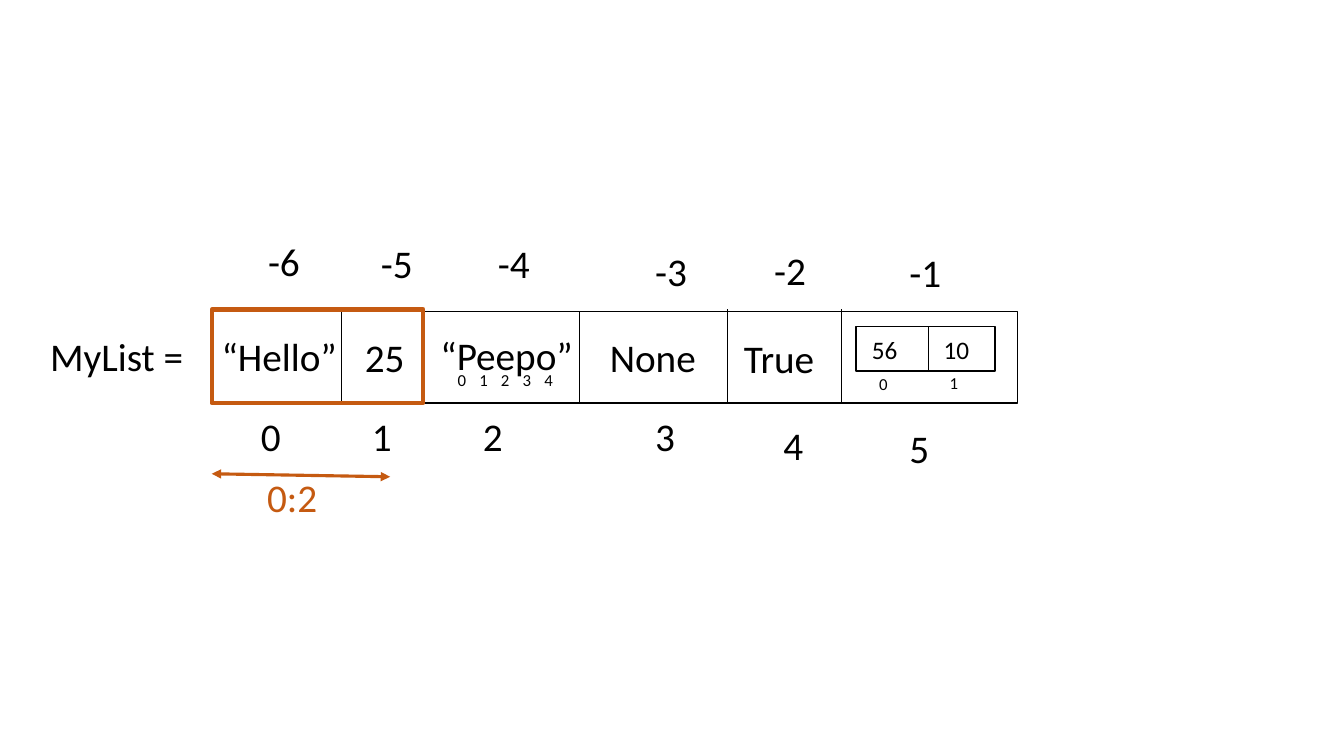
from typing import NamedTuple

import pptx
import pptx.dml.color
import pptx.enum.shapes
import pptx.enum.text
import pptx.oxml
import pptx.oxml.ns
import pptx.util
from pptx.util import Inches

BLACK = pptx.dml.color.RGBColor(0x00, 0x00, 0x00)
ORANGE = pptx.dml.color.RGBColor(0xC5, 0x5A, 0x11)
FONT = "Calibri"
TEXT_HEIGHTS = {28: 0.57, 18: 0.4, 12: 0.3}
INDEX_WIDTH = 0.68


class Point(NamedTuple):
    x: float
    y: float


class Cell(NamedTuple):
    """A list item, with the places of its value and of its two indexes."""
    value: str
    value_at: Point
    width: float
    index_at: Point
    negative_at: Point


class Divider(NamedTuple):
    x: float
    top: float
    height: float


CELLS = [
    Cell("“Hello”", Point(2.1, 3.25), 1.83, Point(2.49, 4.04), Point(2.56, 2.31)),
    Cell("25", Point(3.52, 3.26), 0.68, Point(3.59, 4.04), Point(3.68, 2.33)),
    Cell("“Peepo”", Point(4.27, 3.24), 1.83, Point(4.69, 4.04), Point(4.84, 2.33)),
    Cell("None", Point(5.95, 3.26), 1.83, Point(6.4, 4.04), Point(6.4, 2.4)),
    Cell("True", Point(7.28, 3.27), 0.97, Point(7.67, 4.13), Point(7.58, 2.39)),
    Cell("", Point(8.49, 3.24), 1.38, Point(8.92, 4.16), Point(8.92, 2.41)),
]
NESTED_CELLS = [
    Cell("56", Point(8.55, 3.27), 0.97, Point(8.62, 3.66), Point(0, 0)),
    Cell("10", Point(9.26, 3.27), 0.97, Point(9.32, 3.65), Point(0, 0)),
]
DIVIDERS = [
    Divider(3.39, 3.09, 0.91),
    Divider(4.2, 3.07, 0.92),
    Divider(5.75, 3.09, 0.91),
    Divider(7.21, 3.07, 0.92),
    Divider(8.34, 3.07, 0.92),
    Divider(9.21, 3.24, 0.44),
]
LETTER_COUNT = 5
LETTER_START = Point(4.44, 3.62)
LETTER_STEP = 0.215


def add_label(s, text: str, at: Point, width: float, size: int = 28, color=BLACK) -> None:
    sp = s.shapes.add_textbox(Inches(at.x), Inches(at.y), Inches(width), Inches(TEXT_HEIGHTS[size]))
    tf = sp.text_frame
    tf.word_wrap = True
    tf.auto_size = pptx.enum.text.MSO_AUTO_SIZE.SHAPE_TO_FIT_TEXT
    tf.text = text
    r = tf.paragraphs[0].runs[0]
    r.font.name = FONT
    r.font.size = pptx.util.Pt(size)
    r.font.color.rgb = color


def add_frame(s, at: Point, width: float, height: float, weight: float = 1, color=BLACK) -> None:
    """Draw an unfilled rectangle."""
    sp = s.shapes.add_shape(pptx.enum.shapes.MSO_SHAPE.RECTANGLE, Inches(at.x), Inches(at.y),
                            Inches(width), Inches(height))
    sp.shadow.inherit = False
    sp.fill.background()
    sp.line.color.rgb = color
    sp.line.width = pptx.util.Pt(weight)


def add_line(s, start: Point, end: Point, weight: float = 0.5, color=BLACK, arrows: bool = False) -> None:
    sp = s.shapes.add_connector(pptx.enum.shapes.MSO_CONNECTOR.STRAIGHT, Inches(start.x),
                                Inches(start.y), Inches(end.x), Inches(end.y))
    sp.line.color.rgb = color
    sp.line.width = pptx.util.Pt(weight)
    properties = sp.element.spPr
    properties.append(pptx.oxml.parse_xml(f"<a:effectLst {pptx.oxml.ns.nsdecls('a')}/>"))
    if arrows:
        outline = properties.find(pptx.oxml.ns.qn("a:ln"))
        for end_tag in ("headEnd", "tailEnd"):
            outline.append(pptx.oxml.parse_xml(
                f'<a:{end_tag} {pptx.oxml.ns.nsdecls("a")} type="triangle"/>'))


def add_list(s) -> None:
    add_label(s, "MyList =", Point(0.4, 3.25), 1.83)
    add_frame(s, Point(2.09, 3.09), 8, 0.91)
    add_frame(s, Point(8.49, 3.24), 1.38, 0.44)
    for divider in DIVIDERS:
        add_line(s, Point(divider.x, divider.top), Point(divider.x, divider.top + divider.height))
    for index, cell in enumerate(CELLS):
        if cell.value:
            add_label(s, cell.value, cell.value_at, cell.width)
        add_label(s, str(index), cell.index_at, INDEX_WIDTH)
        add_label(s, str(index - len(CELLS)), cell.negative_at, INDEX_WIDTH)
    for index, cell in enumerate(NESTED_CELLS):
        add_label(s, cell.value, cell.value_at, cell.width, 18)
        add_label(s, str(index), cell.index_at, INDEX_WIDTH, 12)
    for index in range(LETTER_COUNT):
        at = Point(LETTER_START.x + index * LETTER_STEP, LETTER_START.y)
        add_label(s, str(index), at, INDEX_WIDTH, 12)


def add_slice(s) -> None:
    """Mark the items that the slice 0:2 selects."""
    add_frame(s, Point(2.1, 3.07), 2.1, 0.93, 3, ORANGE)
    add_line(s, Point(2.1, 4.7), Point(3.87, 4.73), 2.25, ORANGE, arrows=True)
    add_label(s, "0:2", Point(2.55, 4.65), 0.81, color=ORANGE)


def main() -> None:
    prs = pptx.Presentation()
    prs.slide_width = Inches(13.33)
    prs.slide_height = Inches(7.5)
    s = prs.slides.add_slide(prs.slide_layouts[6])
    add_list(s)
    add_slice(s)
    prs.save("out.pptx")


if __name__ == "__main__":
    main()
